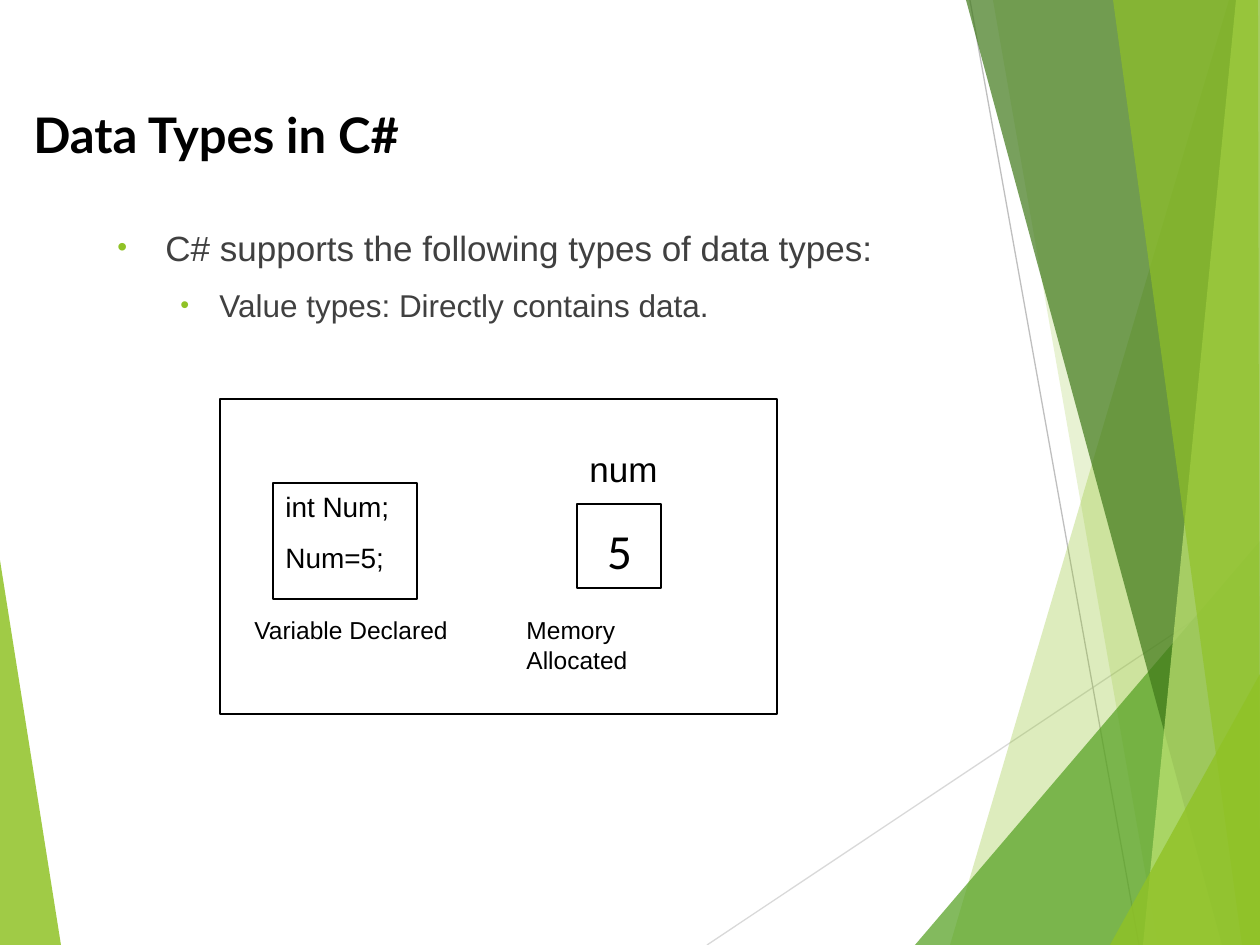
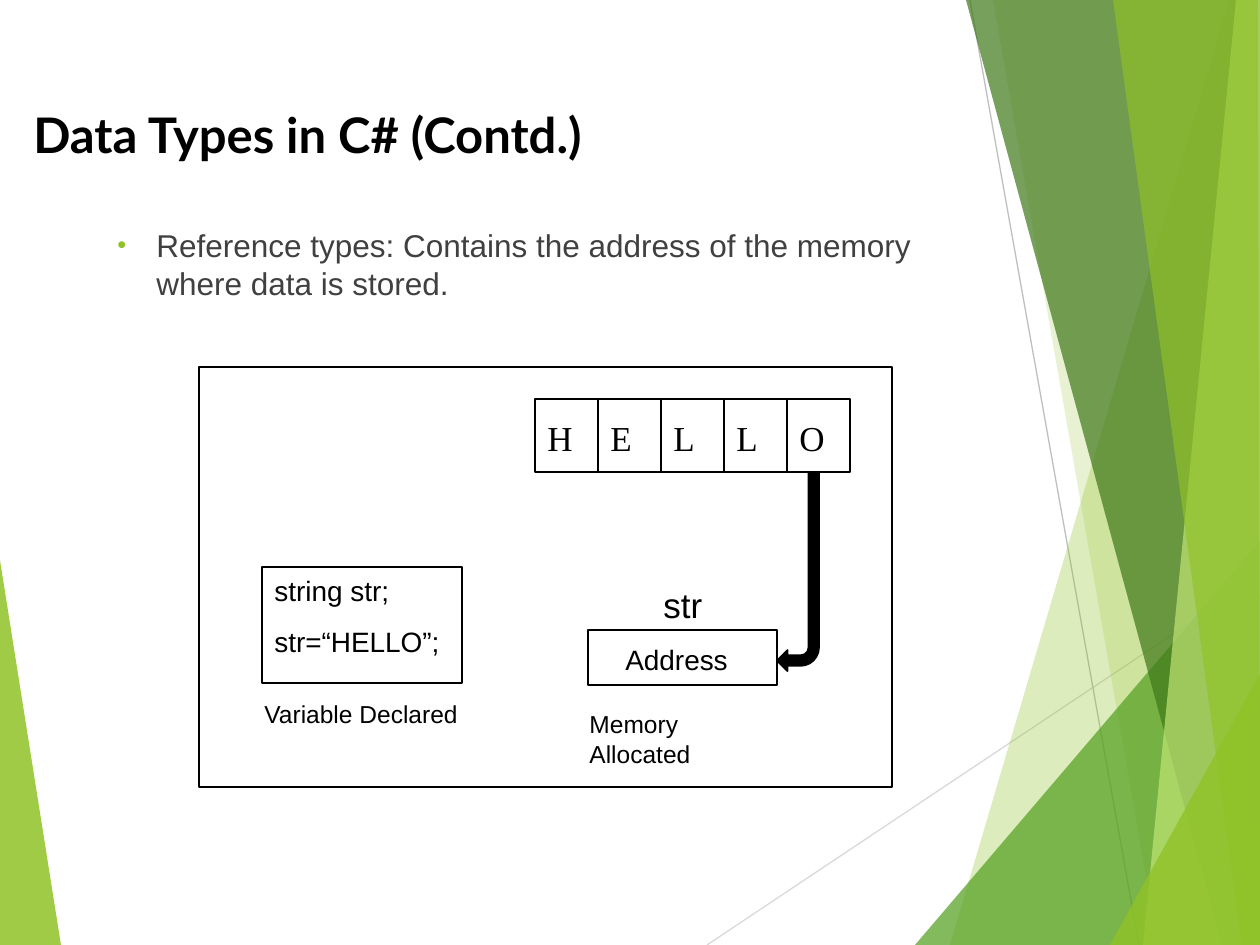
"""Build two slides on C# value types and reference types."""
from dataclasses import dataclass

from lxml import etree
from pptx import Presentation
from pptx.dml.color import RGBColor
from pptx.enum.shapes import MSO_CONNECTOR, MSO_SHAPE
from pptx.enum.text import PP_ALIGN
from pptx.oxml.ns import qn
from pptx.util import Pt

RECTANGLE = MSO_SHAPE.RECTANGLE
BENT_ARROW = MSO_SHAPE.BENT_ARROW
STRAIGHT = MSO_CONNECTOR.STRAIGHT
CENTER = PP_ALIGN.CENTER

EMU_PER_PX = 914400 / 126
PAGE_WIDTH, PAGE_HEIGHT = 1260, 945


@dataclass(frozen=True)
class Theme:
    """Colours, line widths and text formats shared by the slides."""
    white: str = "FFFFFF"
    black: str = "000000"
    grey: str = "404040"
    lime: str = "90C226"
    pale_lime: str = "C0E474"
    green: str = "54A021"
    dark_green: str = "3F7819"
    thin: float = 0.75
    medium: float = 1

    def text(self, style):
        """Return the font, size, colour and weight of a text style."""
        font, size, color, bold = {
            "title": ("Lato", 28, self.black, True),
            "point": ("Arial", 20, self.grey, False),
            "subpoint": ("Arial", 18, self.grey, False),
            "name": ("Arial", 20, self.black, False),
            "code": ("Arial", 16, self.black, False),
            "caption": ("Arial", 14, self.black, False),
            "value": ("Calibri", 28, self.black, False),
            "letter": ("Times New Roman", 20, self.black, False),
        }[style]
        return {"name": font, "size": Pt(size), "bold": bold}, color


THEME = Theme()
RIGHT_EDGE = [(PAGE_WIDTH, PAGE_HEIGHT), (PAGE_WIDTH, 0)]
CORNER = [(PAGE_WIDTH, PAGE_HEIGHT)]

BACK_FACET = ([(0, 560), (61, 945), (0, 945)], THEME.lime, 85)
RAYS = [((707, 945), (1260, 576), "D9D9D9"), ((970, 0), (1139, 945), "BFBFBF")]
FACETS = [
    ([(1229, 0), (950, 945)] + RIGHT_EDGE, THEME.lime, 30),
    ([(993, 0), (1158, 945)] + RIGHT_EDGE, THEME.lime, 20),
    ([(915, 945), (1260, 541)] + CORNER, THEME.green, 72),
    ([(966, 0), (1222, 945)] + RIGHT_EDGE, THEME.dark_green, 70),
    ([(1236, 0), (1143, 945)] + RIGHT_EDGE, THEME.pale_lime, 70),
    ([(1113, 0), (1242, 945), (1260, 945), (1258, 0)], THEME.lime, 65),
    ([(1110, 945), (1260, 674)] + CORNER, THEME.lime, 80),
]

TITLE_PLACE = (21, 98, 1081, 72)
BULLET_INDENTS = {"point": (48, 48), "subpoint": (102, 39)}
SLIDES = [
    {
        "title": "Data Types in C#",
        "body_place": (105, 220, 872, 116),
        "bullets": [
            ("point", "C# supports the following types of data types:"),
            ("subpoint", "Value types: Directly contains data."),
        ],
        "frames": [(220, 399, 557, 315), (577, 504, 84, 84)],
        "code": ((273, 483, 144, 116), ["int Num;", "Num=5;"]),
        "labels": [
            ("caption", (242, 609, 220, 42), "Variable Declared"),
            ("name", (577, 441, 105, 55), "num"),
            ("caption", (514, 609, 220, 42), "Memory Allocated"),
        ],
        "value": ((588, 514, 63, 63), "5"),
    },
    {
        "title": "Data Types in C# (Contd.)",
        "body_place": (42, 220, 955, 126),
        "bullets": [
            ("subpoint", "Reference types: Contains the address of the memory "
                         "where data is stored."),
        ],
        "frames": [(199, 367, 693, 420), (588, 630, 189, 55)],
        "code": ((262, 567, 200, 116), ["string str;", "str=“HELLO”;"]),
        "labels": [
            ("caption", (252, 693, 220, 42), "Variable Declared"),
            ("name", (651, 577, 73, 55), "str"),
            ("caption", (577, 703, 220, 42), "Memory Allocated"),
            ("code", (613, 636, 152, 47), "Address"),
        ],
        "letters": ((535, 399, 315, 73), "HELLO"),
        "pointer": (777, 472, 42, 199),
    },
]


def px(length):
    """Turn pixels into EMU."""
    return round(length * EMU_PER_PX)


def set_all(target, values):
    """Set attributes of an object from a dict."""
    for name, value in values.items():
        setattr(target, name, value)


def paint(shape, fill=None, line=None, width=THEME.thin):
    """Give a shape a plain fill and outline without shadow."""
    shape.shadow.inherit = False
    if fill:
        shape.fill.solid()
        shape.fill.fore_color.rgb = RGBColor.from_string(fill)
    else:
        shape.fill.background()
    if line:
        shape.line.color.rgb = RGBColor.from_string(line)
        shape.line.width = Pt(width)
    else:
        shape.line.fill.background()


def add_box(page, place, fill=None, line=None):
    """Add a rectangle."""
    box = page.shapes.add_shape(RECTANGLE, *map(px, place))
    paint(box, fill, line)
    return box


def add_line(page, start, end, color, width=THEME.thin):
    """Add a straight line without shadow."""
    line = page.shapes.add_connector(STRAIGHT, *map(px, start + end))
    line.line.color.rgb = RGBColor.from_string(color)
    line.line.width = Pt(width)
    etree.SubElement(line.element.spPr, qn("a:effectLst"))


def add_facet(page, points, color, opacity):
    """Add a translucent polygon."""
    builder = page.shapes.build_freeform(*points[0], scale=EMU_PER_PX)
    builder.add_line_segments(points[1:], close=True)
    facet = builder.convert_to_shape()
    paint(facet, color)
    tint = facet.element.spPr.find(".//" + qn("a:srgbClr"))
    etree.SubElement(tint, qn("a:alpha"), val=str(opacity * 1000))


def write(frame, paragraphs, **layout):
    """Fill a text frame with (style, text) paragraphs and return them."""
    frame.word_wrap = True
    frame.vertical_anchor = 1
    written = []
    for index, (style, text) in enumerate(paragraphs):
        para = frame.add_paragraph() if index else frame.paragraphs[0]
        set_all(para, {"alignment": PP_ALIGN.LEFT, **layout})
        span = para.add_run()
        span.text = text
        font, color = THEME.text(style)
        set_all(span.font, font)
        span.font.color.rgb = RGBColor.from_string(color)
        written.append(para)
    return written


def add_label(page, style, place, text, **layout):
    """Add a text box with one paragraph."""
    box = page.shapes.add_textbox(*map(px, place))
    write(box.text_frame, [(style, text)], **layout)


def add_bullet(para, style):
    """Give a paragraph a hanging lime bullet."""
    margin, hanging = BULLET_INDENTS[style]
    properties = para._p.get_or_add_pPr()
    properties.set("marL", str(px(margin)))
    properties.set("indent", str(-px(hanging)))
    color = etree.SubElement(properties, qn("a:buClr"))
    etree.SubElement(color, qn("a:srgbClr"), val=THEME.lime)
    etree.SubElement(properties, qn("a:buSzPct"), val="80000")
    etree.SubElement(properties, qn("a:buFont"), typeface="Arial")
    etree.SubElement(properties, qn("a:buChar"), char="•")


def add_backdrop(page):
    """Draw the facets and rays shared by all slides."""
    add_facet(page, *BACK_FACET)
    for start, end, color in RAYS:
        add_line(page, start, end, color)
    for facet in FACETS:
        add_facet(page, *facet)


def add_letters(page, place, word):
    """Draw a row of equal cells with one letter in each."""
    left, top, width, height = place
    step = width // len(word)
    add_box(page, place, THEME.white, THEME.black)
    for index, letter in enumerate(word):
        x = left + index * step
        if index:
            add_line(page, (x, top), (x, top + height), THEME.black, THEME.medium)
        add_label(page, "letter", (x, top + 11, step, 55), letter)


def add_pointer(page, place):
    """Draw the arrow that ties the stored letters to their address."""
    pointer = page.shapes.add_shape(BENT_ARROW, *map(px, place))
    pointer.rotation = 180
    paint(pointer, THEME.black, THEME.black, THEME.medium)


def build_page(page, content):
    """Build one slide from its content."""
    add_backdrop(page)
    body = add_box(page, content["body_place"], THEME.white)
    bullets = content["bullets"]
    paragraphs = write(body.text_frame, bullets, space_before=Pt(10))
    for para, (style, _) in zip(paragraphs, bullets):
        add_bullet(para, style)
    add_label(page, "title", TITLE_PLACE, content["title"])
    for place in content["frames"]:
        add_box(page, place, THEME.white, THEME.black)
    place, lines = content["code"]
    code = add_box(page, place, THEME.white, THEME.black)
    write(code.text_frame, [("code", line) for line in lines], space_after=Pt(10))
    for label in content["labels"]:
        add_label(page, *label)
    if "value" in content:
        add_label(page, "value", *content["value"], alignment=CENTER)
    if "letters" in content:
        add_letters(page, *content["letters"])
    if "pointer" in content:
        add_pointer(page, content["pointer"])


def main():
    """Build and save the deck."""
    deck = Presentation()
    set_all(deck, {"slide_width": px(PAGE_WIDTH), "slide_height": px(PAGE_HEIGHT)})
    for content in SLIDES:
        build_page(deck.slides.add_slide(deck.slide_layouts[6]), content)
    deck.save("out.pptx")


if __name__ == "__main__":
    main()
